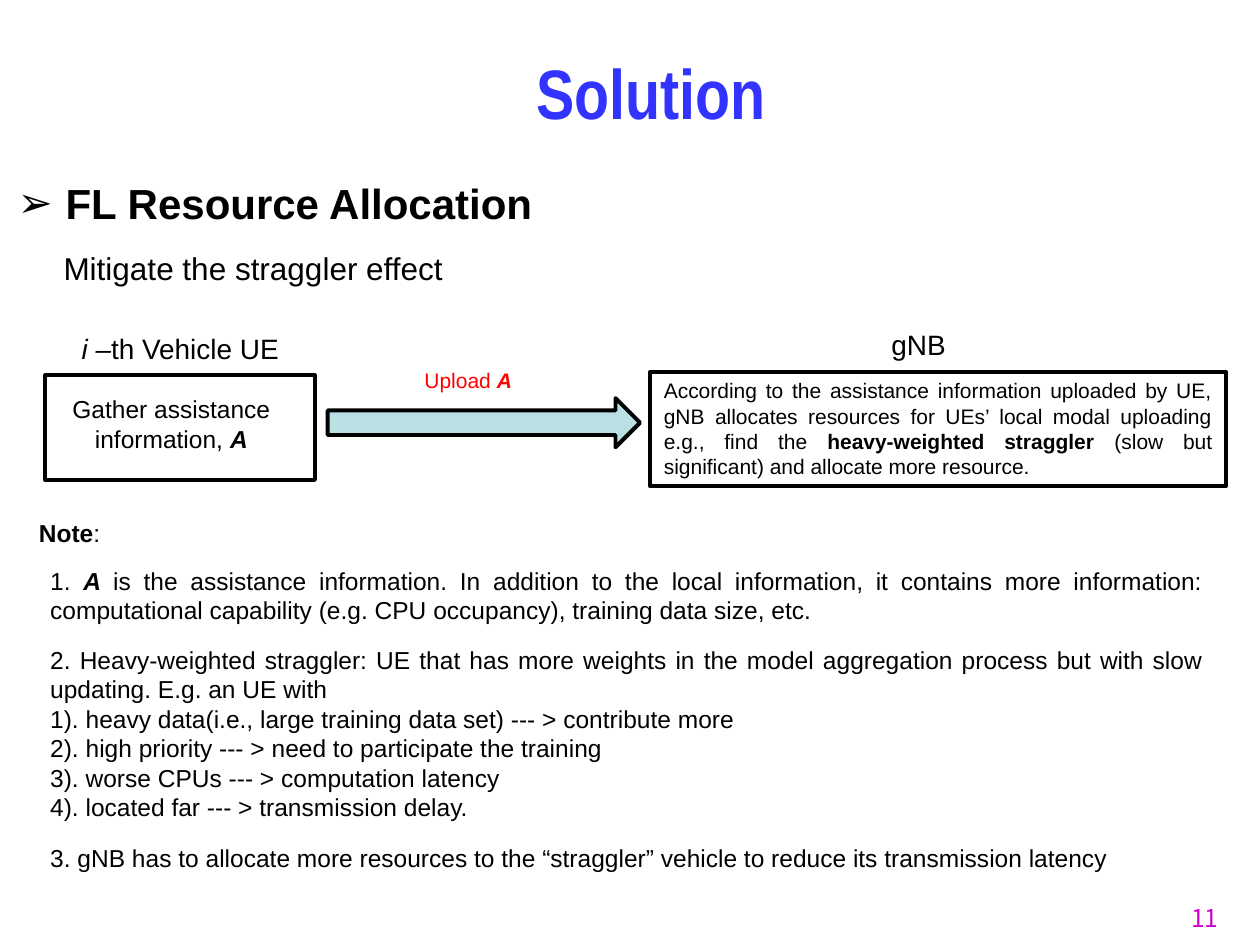
"""Build the slide on resource allocation for federated learning."""
import lxml.etree
import pptx
import pptx.dml.color
import pptx.enum.shapes
import pptx.enum.text
import pptx.oxml.ns
import pptx.util

Inches = pptx.util.Inches
Align = pptx.enum.text.PP_ALIGN
Anchor = pptx.enum.text.MSO_ANCHOR
Preset = pptx.enum.shapes.MSO_SHAPE

COLOURS = {
    "text": "000000",
    "title": "3333FF",
    "upload": "FF0000",
    "arrow": "BBE0E3",
    "number": "CC00CC",
}
NOTE_LEFT, NOTE_WIDTH = 0.3, 9.35


def colour(name):
    return pptx.dml.color.RGBColor.from_string(COLOURS[name])


def place(box, left, top, width, height):
    box.left, box.top = Inches(left), Inches(top)
    box.width, box.height = Inches(width), Inches(height)


def write(box, paragraphs, size, align=Align.LEFT, ink="text", font="Arial",
          wrap=True, anchor=Anchor.TOP, spacing=1.0):
    """Fill a box with paragraphs, each a list of (text, style letters) spans."""
    frame = box.text_frame
    frame.auto_size = pptx.enum.text.MSO_AUTO_SIZE.NONE
    frame.word_wrap = wrap
    frame.vertical_anchor = anchor
    for index, spans in enumerate(paragraphs):
        para = frame.add_paragraph() if index else frame.paragraphs[0]
        para.alignment = align
        para.line_spacing = spacing
        para.space_before = pptx.util.Pt(0)
        for text, style in spans:
            span = para.add_run()
            span.text = text
            span.font.name = font
            span.font.size = pptx.util.Pt(size)
            span.font.bold = "b" in style
            span.font.italic = "i" in style
            span.font.color.rgb = colour(ink)


def add_text(page, bounds, paragraphs, size, **options):
    box = page.shapes.add_textbox(*map(Inches, bounds))
    write(box, paragraphs, size, **options)


def add_outline(page, preset, bounds, fill=None):
    shape = page.shapes.add_shape(preset, *map(Inches, bounds))
    shape.shadow.inherit = False
    if fill:
        shape.fill.solid()
        shape.fill.fore_color.rgb = colour(fill)
    else:
        shape.fill.background()
    shape.line.color.rgb = colour("text")
    shape.line.width = pptx.util.Pt(2.25)


def set_bullet(para, symbol, indent):
    properties = para._p.get_or_add_pPr()
    properties.set("marL", str(Inches(indent)))
    properties.set("indent", str(-Inches(indent)))
    bullet = lxml.etree.SubElement(properties, pptx.oxml.ns.qn("a:buChar"))
    bullet.set("char", symbol)


def add_headings(page):
    title, body = page.placeholders[0], page.placeholders[1]
    place(title, 4.15, -0.32, 2.04, 1.23)
    write(title, [[("Solution", "b")]], 40, align=Align.CENTER, ink="title",
          font="Arial Narrow", wrap=False, spacing=2.0)
    place(body, 0.04, 1.36, 4.32, 0.5)
    write(body, [[("FL Resource Allocation", "b")]], 24, wrap=False)
    set_bullet(body.text_frame.paragraphs[0], "➢", 0.38)
    add_text(page, (0.39, 1.93, 3.24, 0.4),
             [[("Mitigate the straggler effect", "")]], 18,
             align=Align.CENTER, wrap=False)


def add_flow(page):
    add_outline(page, Preset.RECTANGLE, (0.36, 2.98, 2.14, 0.83))
    add_outline(page, Preset.RIGHT_ARROW, (2.6, 3.16, 2.48, 0.39), "arrow")
    add_outline(page, Preset.RECTANGLE, (5.16, 2.95, 4.57, 0.91))
    add_text(page, (0.54, 2.58, 1.78, 0.37),
             [[("i –", "i"), ("th Vehicle UE", "")]], 16,
             align=Align.CENTER, wrap=False)
    add_text(page, (6.97, 2.55, 0.64, 0.37), [[("gNB", "")]], 16,
             align=Align.CENTER, wrap=False)
    add_text(page, (0.2, 3.08, 2.32, 0.57),
             [[("Gather assistance information, ", ""), ("A", "bi")]], 14,
             align=Align.CENTER)
    add_text(page, (3.27, 2.87, 1.02, 0.3),
             [[("Upload ", ""), ("A", "bi")]], 12, ink="upload")
    add_text(page, (5.17, 2.95, 4.55, 0.91), [[
        ("According to the assistance information uploaded by UE, gNB allocates "
         "resources for UEs’ local modal uploading e.g., find the ", ""),
        ("heavy-weighted straggler ", "b"),
        ("(slow but significant) and allocate more resource.", ""),
    ]], 12, align=Align.JUSTIFY)


def add_notes(page):
    add_text(page, (0.21, 4.06, NOTE_WIDTH, 0.34),
             [[("Note", "b"), (":", "")]], 14, align=Align.JUSTIFY)
    straggler = [
        "2. Heavy-weighted straggler: UE that has more weights in the model "
        "aggregation process but with slow updating. E.g. an UE with",
        "1). heavy data(i.e., large training data set) --- > contribute more",
        "2). high priority --- > need to participate the training",
        "3). worse CPUs --- > computation latency",
        "4). located far --- > transmission delay.",
    ]
    notes = [
        (4.44, 0.57, [[
            ("1. ", ""), ("A ", "bi"),
            ("is the assistance information. In addition to the local "
             "information, it contains more information: computational "
             "capability (e.g. CPU occupancy), training data size, etc.", ""),
        ]]),
        (5.07, 1.51, [[(line, "")] for line in straggler]),
        (6.64, 0.34, [[
            ("3. gNB has to allocate more resources to the “straggler” vehicle "
             "to reduce its transmission latency", ""),
        ]]),
    ]
    for top, height, paragraphs in notes:
        add_text(page, (NOTE_LEFT, top, NOTE_WIDTH, height), paragraphs, 14,
                 align=Align.JUSTIFY)


def main():
    deck = pptx.Presentation()
    deck.slide_width, deck.slide_height = Inches(10), Inches(7.5)
    page = deck.slides.add_slide(deck.slide_layouts[1])
    add_headings(page)
    add_flow(page)
    add_notes(page)
    add_text(page, (7.44, 7.14, 2.33, 0.28), [[("11", "")]], 14,
             align=Align.RIGHT, ink="number", font="Noto Sans CJK SC",
             anchor=Anchor.MIDDLE)
    deck.save("out.pptx")


if __name__ == "__main__":
    main()
